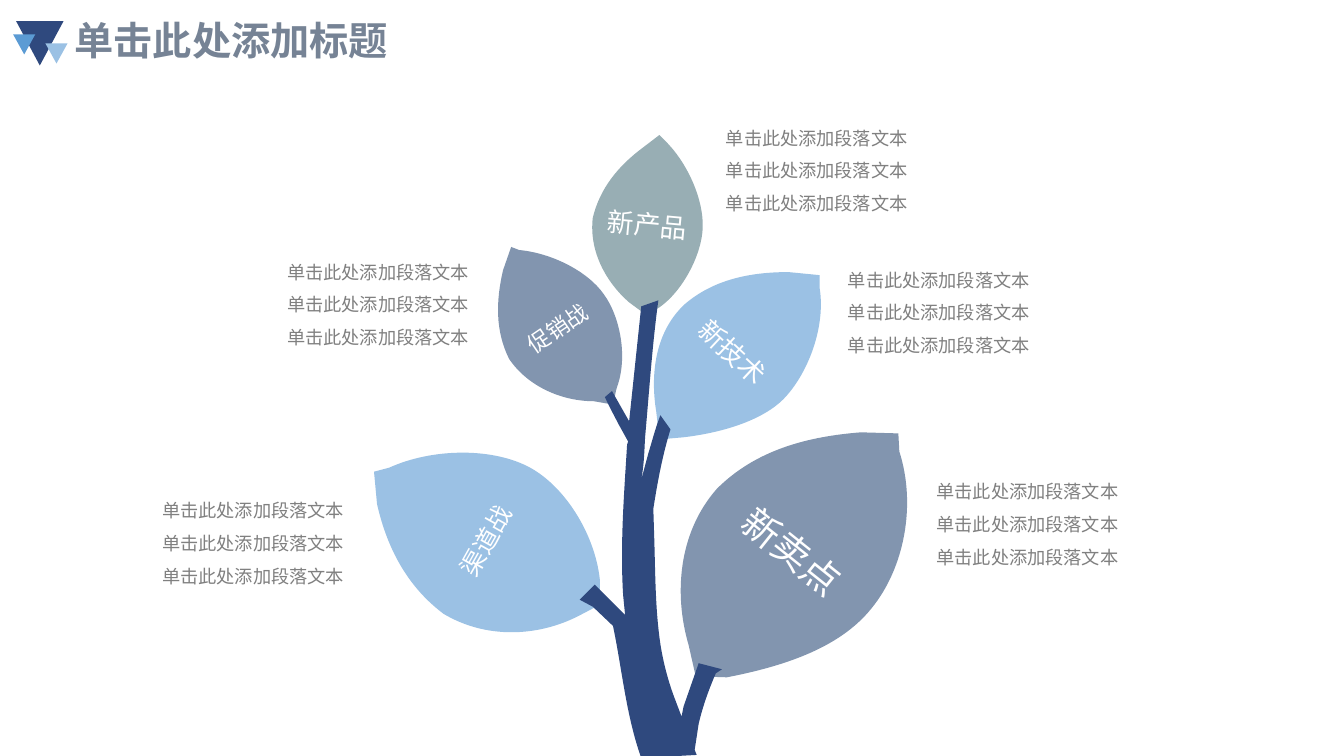
import math
from dataclasses import dataclass

from lxml import etree
from pptx import Presentation, util as u
from pptx.dml.color import RGBColor
from pptx.enum import lang, shapes, text
from pptx.oxml.ns import qn

NAVY = RGBColor(0x2F, 0x49, 0x7E)
SKY = RGBColor(0x9B, 0xC1, 0xE4)
BLUE = RGBColor(0x5B, 0x9B, 0xD4)
SLATE = RGBColor(0x82, 0x95, 0xAF)
SAGE = RGBColor(0x98, 0xAE, 0xB4)
TITLE_GRAY = RGBColor(0x76, 0x83, 0x95)
TEXT_GRAY = RGBColor(0x80, 0x80, 0x80)
WHITE = RGBColor(0xFF, 0xFF, 0xFF)
CJK = "Noto Sans CJK SC"

Point = tuple[float, float]
Box = tuple[float, float, float, float]
CornersAndCurves = list[tuple[float, ...]]


@dataclass(frozen=True)
class Triangle:
    box: Box
    color: RGBColor


@dataclass(frozen=True)
class Leaf:
    label: str
    size: int
    color: RGBColor
    box: Box
    angle: float
    outline: CornersAndCurves


TRIANGLES = [
    Triangle((0.16, 0.21, 0.47, 0.44), NAVY),
    Triangle((0.45, 0.43, 0.22, 0.2), SKY),
    Triangle((0.13, 0.34, 0.22, 0.2), BLUE),
]

LEAVES = [
    Leaf("渠道战", 18, SKY, (3.97, 4.06, 1.69, 2.6), 299.3, [
        (3.71, 4.68), (3.86, 4.64), (4.28, 4.45, 4.85, 4.44, 5.22, 4.62),
        (5.59, 4.8, 5.9, 5.29, 5.95, 5.75), (5.95, 6), (5.74, 6.11),
        (5.33, 6.32, 4.82, 6.34, 4.4, 6.09),
        (4.04, 5.82, 3.84, 5.44, 3.74, 5), (3.71, 4.68)]),
    Leaf("新卖点", 27, SLATE, (6.89, 3.9, 1.94, 3.13), 38.8, [
        (8.91, 4.3), (8.92, 4.48), (9.09, 5.01, 8.97, 5.64, 8.64, 6.04),
        (8.31, 6.45, 7.72, 6.62, 7.21, 6.72), (6.9, 6.71), (6.83, 6.4),
        (6.68, 5.89, 6.73, 5.28, 7.11, 4.85),
        (7.5, 4.46, 8.02, 4.33, 8.54, 4.29), (8.91, 4.3)]),
    Leaf("促销战", 16, SLATE, (4.96, 2.33, 1.14, 1.85), 325.7, [
        (5.07, 2.45), (5.15, 2.48), (5.47, 2.51, 5.83, 2.69, 5.99, 2.92),
        (6.15, 3.14, 6.23, 3.54, 6.12, 3.84),
        (6.1, 3.89, 6.11, 3.95, 6.06, 4.01), (5.89, 3.98),
        (5.58, 3.98, 5.24, 3.84, 5.05, 3.56),
        (4.91, 3.28, 4.92, 2.98, 4.99, 2.68), (5.07, 2.45)]),
    Leaf("新技术", 19, SKY, (6.59, 2.35, 1.36, 2.28), 43.1, [
        (8.13, 2.73), (8.13, 2.86), (8.19, 3.24, 8.02, 3.69, 7.79, 3.94),
        (7.57, 4.18, 7.13, 4.3, 6.77, 4.34), (6.54, 4.36), (6.51, 4.09),
        (6.45, 3.73, 6.49, 3.3, 6.79, 3.02),
        (7.08, 2.77, 7.45, 2.7, 7.82, 2.7), (8.13, 2.73)]),
    Leaf("新产品", 19, SAGE, (5.87, 1.34, 1.1, 1.77), 5.2, [
        (6.54, 1.34), (6.62, 1.42), (6.83, 1.64, 6.98, 1.99, 6.97, 2.26),
        (6.96, 2.53, 6.77, 2.89, 6.54, 3.05),
        (6.49, 3.08, 6.46, 3.09, 6.39, 3.11), (6.24, 3),
        (6.01, 2.8, 5.84, 2.49, 5.88, 2.16),
        (5.95, 1.87, 6.13, 1.65, 6.37, 1.47), (6.54, 1.34)]),
]

TRUNK_BOX = (5.75, 2.98, 1.41, 4.54)
TRUNK: CornersAndCurves = [
    (6.53, 2.98), (6.47, 3.42, 6.44, 3.87, 6.4, 4.32), (6.4, 4.31),
    (6.39, 4.47, 6.39, 4.64, 6.35, 4.8), (6.43, 4.5),
    (6.47, 4.37, 6.5, 4.25, 6.55, 4.12), (6.65, 4.26),
    (6.57, 4.52, 6.52, 4.79, 6.48, 5.05), (6.48, 5.04), (6.49, 5.37),
    (6.5, 5.71, 6.5, 6.05, 6.55, 6.39),
    (6.58, 6.58, 6.63, 6.77, 6.7, 6.95), (6.76, 7.11), (6.78, 7.01),
    (6.93, 6.58), (7.16, 6.64), (7.1, 6.68),
    (7.03, 6.84, 6.97, 7.01, 6.93, 7.18), (6.89, 7.44), (6.91, 7.49),
    (6.36, 7.52), (6.21, 7.1, 6.17, 6.64, 6.08, 6.21),
    (6.08, 6.21, 6.08, 6.21, 6.08, 6.21), (5.88, 6.02),
    (5.75, 5.95), (5.9, 5.8), (6.2, 6.1), (6.18, 5.9),
    (6.15, 5.4, 6.19, 4.9, 6.22, 4.41), (6.23, 4.38), (6.13, 4.2),
    (6.09, 4.12, 6.04, 4.03, 6, 3.94), (6.07, 3.88), (6.24, 4.18),
    (6.36, 3.04), (6.53, 2.98),
]

CAPTION = ["单击此处添加段落文本"] * 3
CAPTION_SPOTS = [(1.44, 4.78), (2.68, 2.41), (7.03, 1.08), (8.24, 2.49), (9.12, 4.59)]


def write(tf, lines: list[str], *, size: int, color: RGBColor, font: str = CJK,
          bold: bool = False, align=text.PP_ALIGN.CENTER, spacing: float | None = None,
          anchor=text.MSO_ANCHOR.MIDDLE) -> None:
    tf.vertical_anchor = anchor
    for i, line in enumerate(lines):
        p = tf.add_paragraph() if i else tf.paragraphs[0]
        p.alignment, p.line_spacing = align, spacing
        r = p.add_run()
        r.text = line
        r.font.size, r.font.bold, r.font.name = u.Pt(size), bold, font
        r.font.color.rgb = color
        r.font.language_id = lang.MSO_LANGUAGE_ID.SIMPLIFIED_CHINESE
        latin = r.font._element.find(qn("a:latin"))
        latin.addnext(etree.Element(qn("a:ea"), typeface=font))


def paint(sp, color: RGBColor) -> None:
    sp.shadow.inherit = False
    sp.fill.solid()
    sp.fill.fore_color.rgb = color
    sp.line.fill.background()


def turn(point: Point, center: Point, angle: float) -> Point:
    dx, dy = point[0] - center[0], point[1] - center[1]
    cos, sin = math.cos(math.radians(angle)), math.sin(math.radians(angle))
    return center[0] + dx * cos - dy * sin, center[1] + dx * sin + dy * cos


def add_outline(s, outline: CornersAndCurves, color: RGBColor, box: Box, angle: float = 0):
    left, top, width, height = box
    center = (left + width / 2, top + height / 2)
    builder = s.shapes.build_freeform(u.Inches(left), u.Inches(top), scale=1.0)
    builder.add_line_segments([(u.Inches(left + width), u.Inches(top + height))])
    sp = builder.convert_to_shape()
    sp.rotation = angle
    paint(sp, color)
    track = next(sp._element.iter(qn("a:path")))
    for child in list(track):
        track.remove(child)
    for i, step in enumerate(outline):
        tag = "a:cubicBezTo" if len(step) == 6 else "a:lnTo" if i else "a:moveTo"
        node = etree.SubElement(track, qn(tag))
        for point in zip(step[::2], step[1::2]):
            x, y = turn(point, center, -angle)
            etree.SubElement(node, qn("a:pt"), x=str(int(u.Inches(x - left))),
                             y=str(int(u.Inches(y - top))))
    etree.SubElement(track, qn("a:close"))
    return sp


def add_triangle(s, tri: Triangle) -> None:
    sp = s.shapes.add_shape(shapes.MSO_SHAPE.ISOSCELES_TRIANGLE, *map(u.Inches, tri.box))
    sp.rotation = 180
    paint(sp, tri.color)


def add_leaf(s, leaf: Leaf) -> None:
    sp = add_outline(s, leaf.outline, leaf.color, leaf.box, leaf.angle)
    write(sp.text_frame, [leaf.label], size=leaf.size, color=WHITE)


def add_caption(s, left: float, top: float) -> None:
    tf = s.shapes.add_textbox(*map(u.Inches, (left, top, 2.14, 1.14))).text_frame
    tf.word_wrap = False
    tf.auto_size = text.MSO_AUTO_SIZE.SHAPE_TO_FIT_TEXT
    tf.margin_left = tf.margin_right = u.Inches(0.13)
    tf.margin_top = tf.margin_bottom = u.Inches(0.07)
    write(tf, CAPTION, size=13, color=TEXT_GRAY, font="Arial", spacing=1.5,
          anchor=text.MSO_ANCHOR.TOP)


def add_title(s) -> None:
    sp = s.shapes.title
    sp.left, sp.top, sp.width, sp.height = map(u.Inches, (0.64, 0.15, 11.5, 0.55))
    sp.text_frame.auto_size = text.MSO_AUTO_SIZE.NONE
    write(sp.text_frame, ["单击此处添加标题"], size=28, color=TITLE_GRAY, bold=True,
          align=text.PP_ALIGN.LEFT, spacing=0.9)


def main() -> None:
    prs = Presentation()
    prs.slide_width, prs.slide_height = u.Inches(13.33), u.Inches(7.5)
    s = prs.slides.add_slide(prs.slide_layouts[5])
    add_title(s)
    for tri in TRIANGLES:
        add_triangle(s, tri)
    for leaf in LEAVES:
        add_leaf(s, leaf)
    add_outline(s, TRUNK, NAVY, TRUNK_BOX)
    for left, top in CAPTION_SPOTS:
        add_caption(s, left, top)
    prs.save("out.pptx")


if __name__ == "__main__":
    main()
